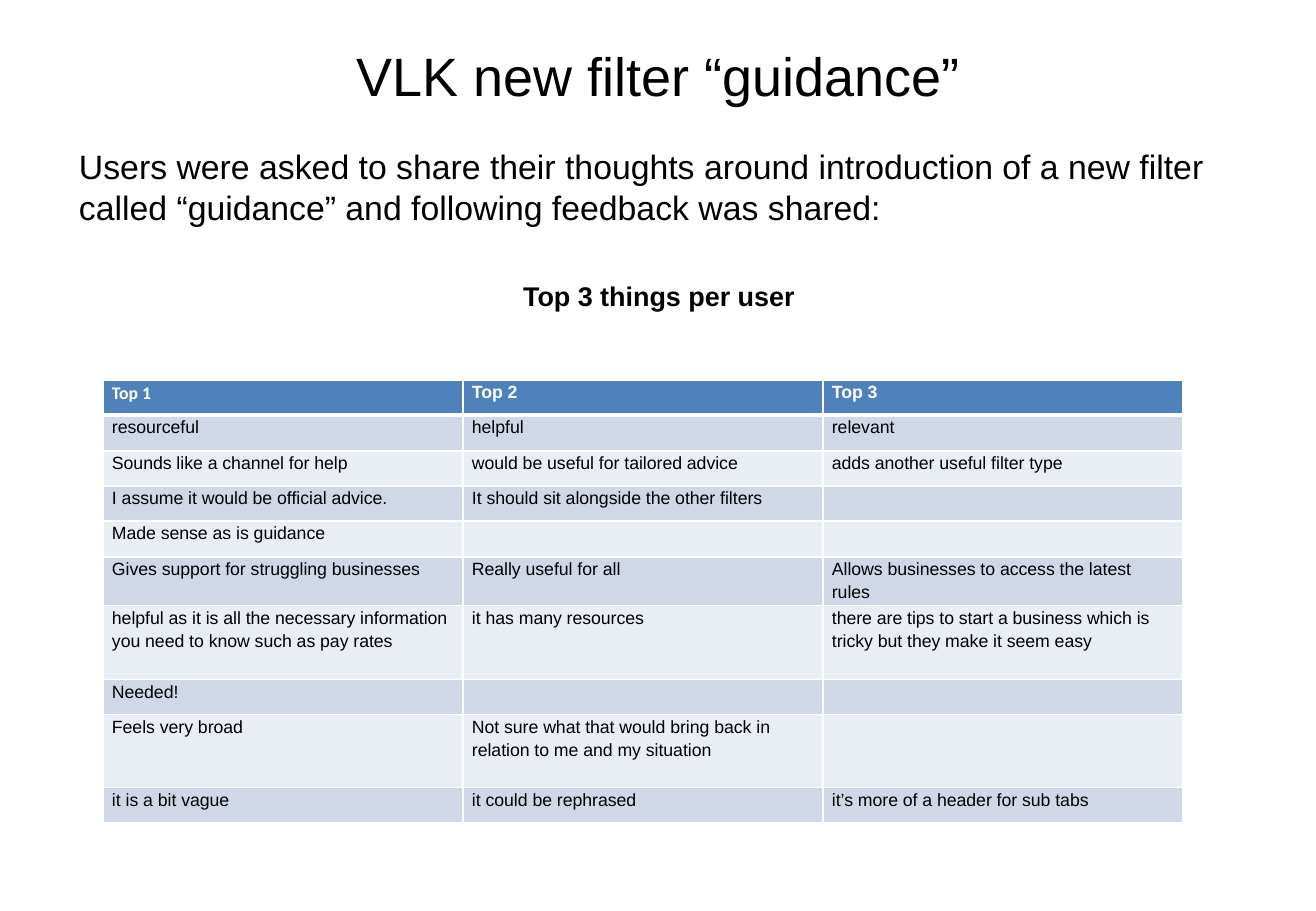
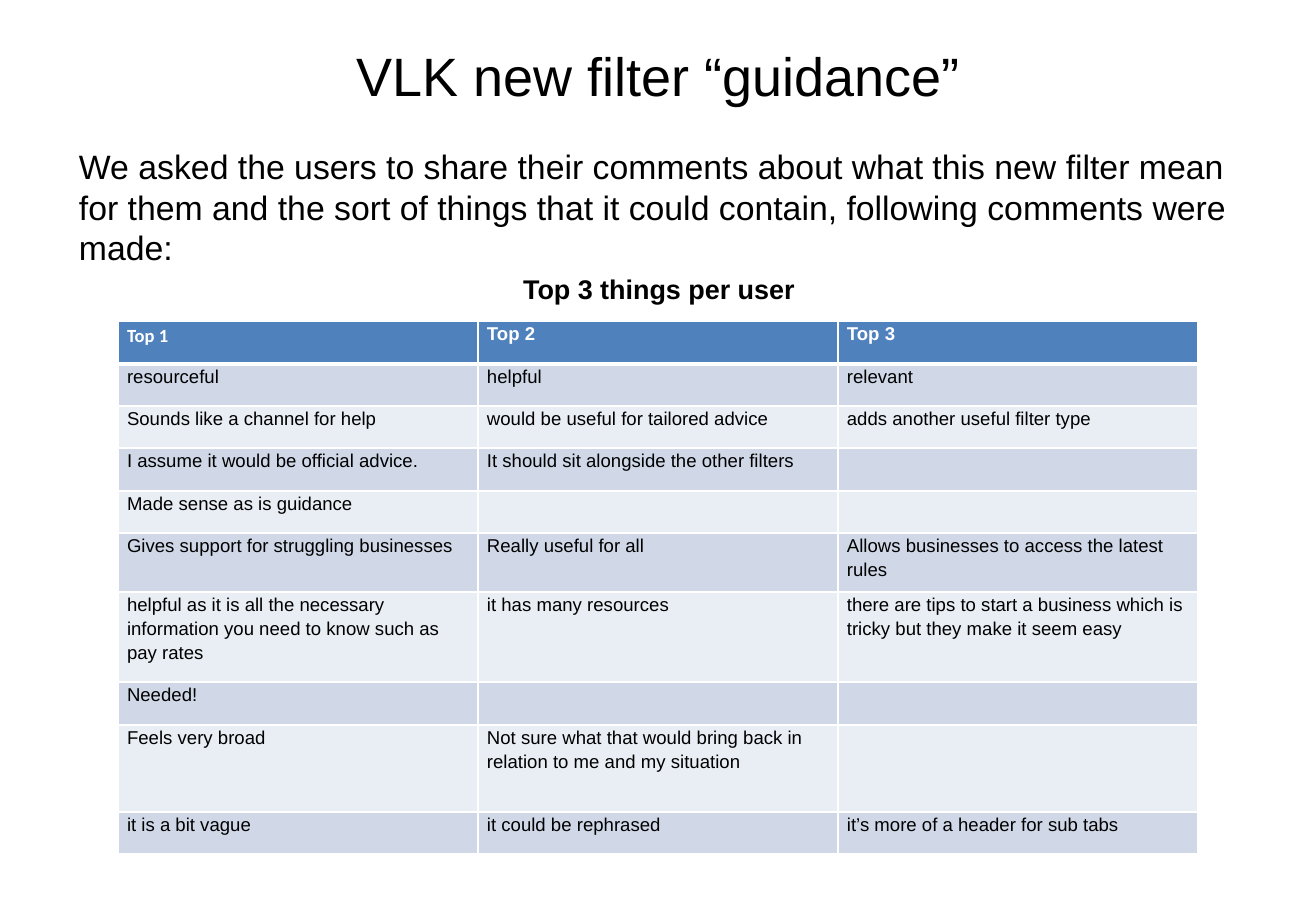
from itertools import pairwise

from lxml.etree import SubElement
from pptx import Presentation
from pptx.dml.color import RGBColor
from pptx.enum.text import MSO_ANCHOR as Anchor, MSO_AUTO_SIZE as AutoSize, PP_ALIGN as Align
from pptx.oxml import parse_xml
from pptx.oxml.ns import nsdecls, qn
from pptx.util import Emu, Pt

PIXEL = 914400 / 121.5
COLOURS = {"black": "000000", "white": "FFFFFF", "header": "4F81BD",
           "odd": "D0D8E8", "even": "E9EDF4"}
FONT = "Arial"
TITLE = "VLK new filter “guidance”"
HEADING = "Top 3 things per user"
COLUMN_WIDTH = 360
FEEDBACK = [
    ("Top 1", "Top 2", "Top 3"),
    ("resourceful", "helpful", "relevant"),
    ("Sounds like a channel for help", "would be useful for tailored advice",
     "adds another useful filter type"),
    ("I assume it would be official advice.",
     "It should sit alongside the other filters", ""),
    ("Made sense as is guidance", "", ""),
    ("Gives support for struggling businesses", "Really useful for all",
     "Allows businesses to access the latest rules"),
    ("helpful as it is all the necessary information you need to know such as pay rates",
     "it has many resources",
     "there are tips to start a business which is tricky but they make it seem easy"),
    ("Needed!", "", ""),
    ("Feels very broad",
     "Not sure what that would bring back in relation to me and my situation", ""),
    ("it is a bit vague", "it could be rephrased", "it’s more of a header for sub tabs"),
]
# Row edges run from the top of the table to its bottom.
SLIDES = [
    {"intro": "Users were asked to share their thoughts around introduction of a new filter "
              "called “guidance” and following feedback was shared:",
     "heading_gap": 31, "left": 103, "size": 10.5,
     "edges": (380, 415, 451, 486, 521, 557, 601, 675, 710, 783, 818)},
    {"intro": "We asked the users to share their comments about what this new filter mean "
              "for them and the sort of things that it could contain, following comments "
              "were made:",
     "heading_gap": 3, "left": 118, "size": 11,
     "edges": (321, 364, 406, 448, 491, 533, 592, 682, 725, 812, 854)},
]


def px(pixels):
    """Turn pixels into EMU."""
    return Emu(round(pixels * PIXEL))


def colour(name):
    """Look up a colour by name."""
    return RGBColor.from_string(COLOURS[name])


def style(paragraph, size, bold=False, name="black", font=FONT):
    """Set the font of a whole paragraph."""
    paragraph.font.name = font
    paragraph.font.size = Pt(size)
    paragraph.font.bold = bold
    paragraph.font.color.rgb = colour(name)


def add_title(slide):
    """Place and format the title placeholder."""
    title = slide.shapes.title
    title.left, title.top, title.width, title.height = map(px, (66, 36, 1185, 152))
    frame = title.text_frame
    frame.text = TITLE
    frame.auto_size = AutoSize.NONE
    frame.vertical_anchor = Anchor.TOP
    paragraph = frame.paragraphs[0]
    paragraph.alignment = Align.CENTER
    style(paragraph, 32)


def add_body(slide, intro, heading_gap):
    """Add the introduction and the centred heading above the table."""
    frame = slide.shapes.add_textbox(*map(px, (67, 140, 1184, 735))).text_frame
    frame.word_wrap = True
    frame.text = intro
    opening = frame.paragraphs[0]
    opening.line_spacing = Pt(24)
    style(opening, 20)
    heading = frame.add_paragraph()
    heading.text = HEADING
    heading.alignment = Align.CENTER
    heading.space_before = Pt(heading_gap)
    style(heading, 16, bold=True)


def add_borders(cell, top, bottom):
    """Draw white borders, with top and bottom widths in points."""
    properties = cell._tc.get_or_add_tcPr()
    for index, (side, width) in enumerate(zip("LRTB", (1, 1, top, bottom))):
        line = parse_xml(f'<a:ln{side} {nsdecls("a")} w="{Pt(width)}"/>')
        fill = SubElement(line, qn("a:solidFill"))
        SubElement(fill, qn("a:srgbClr"), val=COLOURS["white"])
        properties.insert(index, line)


def fill_cell(cell, words, row, column, size):
    """Write and format one table cell."""
    header = row == 0
    cell.margin_left = cell.margin_right = px(9)
    cell.margin_top = cell.margin_bottom = 0
    cell.fill.solid()
    cell.fill.fore_color.rgb = colour("header" if header else "odd" if row % 2 else "even")
    add_borders(cell, top=3 if row == 1 else 1, bottom=3 if header else 1)
    paragraph = cell.text_frame.paragraphs[0]
    font = "Calibri" if header and column == 0 else FONT
    style(paragraph, size, header, "white" if header else "black", font)
    if words:
        paragraph.text = words
        paragraph.line_spacing = 1.15


def add_feedback_table(slide, left, edges, size):
    """Add the feedback table with its rows between the given edges."""
    columns = len(FEEDBACK[0])
    box = map(px, (left, edges[0], columns * COLUMN_WIDTH, edges[-1] - edges[0]))
    table = slide.shapes.add_table(len(FEEDBACK), columns, *box).table
    table.horz_banding = False
    for table_row, (top, bottom) in zip(table.rows, pairwise(edges)):
        table_row.height = px(bottom - top)
    for row, answers in enumerate(FEEDBACK):
        for column, words in enumerate(answers):
            fill_cell(table.cell(row, column), words, row, column, size)


def main():
    """Build both slides and save them."""
    presentation = Presentation()
    presentation.slide_width, presentation.slide_height = px(1316), px(911)
    title_only = presentation.slide_layouts[5]
    for content in SLIDES:
        slide = presentation.slides.add_slide(title_only)
        add_title(slide)
        add_body(slide, content["intro"], content["heading_gap"])
        add_feedback_table(slide, content["left"], content["edges"], content["size"])
    presentation.save("out.pptx")


main()
